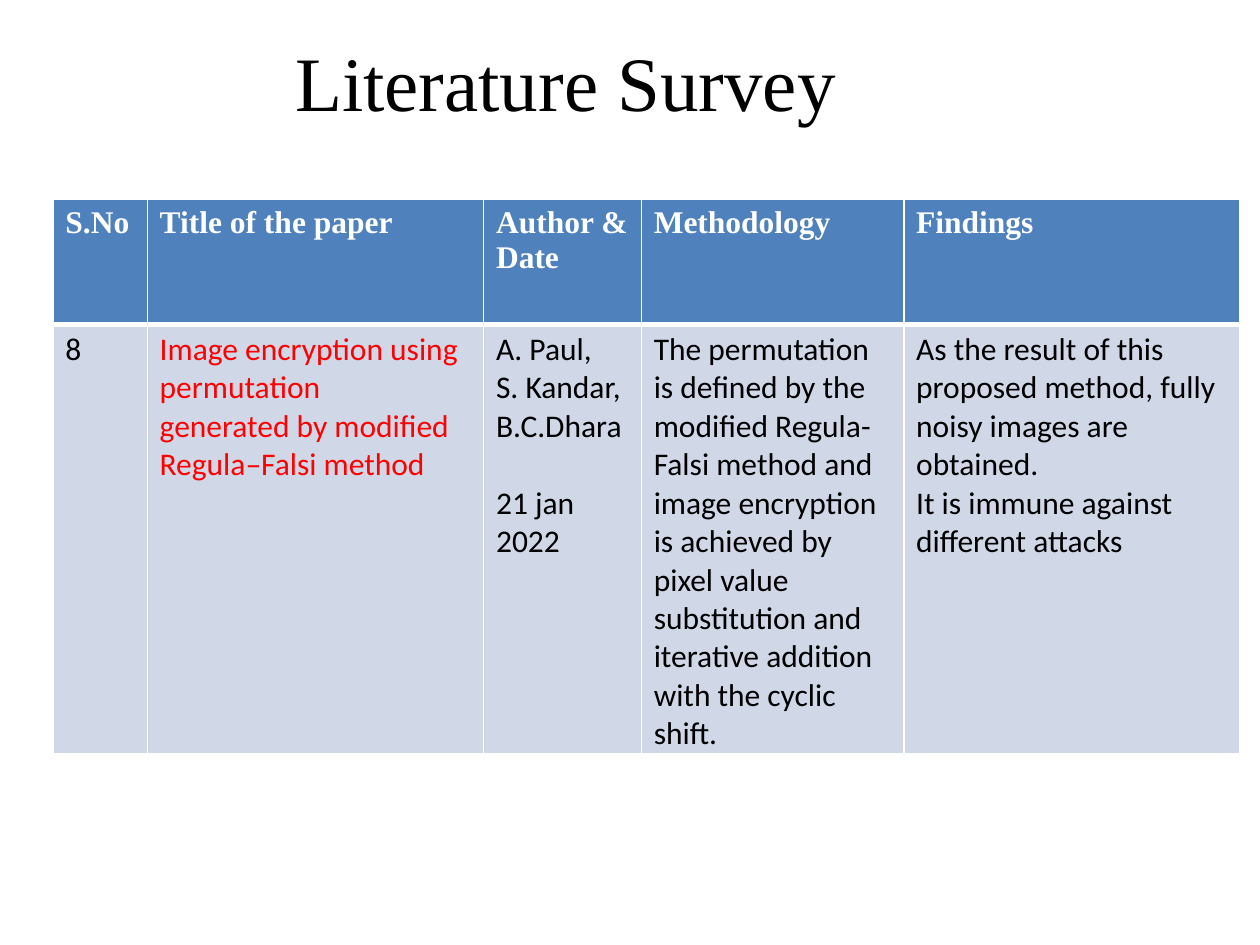
from lxml import etree
from pptx import Presentation
from pptx.dml.color import RGBColor
from pptx.enum.text import MSO_ANCHOR, PP_ALIGN
from pptx.oxml.ns import qn
from pptx.util import Cm, Pt

LEFT = PP_ALIGN.LEFT
TOP = MSO_ANCHOR.TOP
BLANK_LAYOUT = 6

WHITE, BLACK, RED = "FFFFFF", "000000", "FF0000"
HEADER_FILL, BODY_FILL = "4F81BD", "D0D8E8"

TITLE_FONT = {"name": "Times New Roman", "size": Pt(44), "bold": False}
HEADER_FONT = {"name": "Times New Roman", "size": Pt(18), "bold": True}
BODY_FONT = {"name": "Calibri", "size": Pt(18), "bold": False}
CELL_FORMAT = {
    "margin_left": Cm(0.25),
    "margin_right": Cm(0.25),
    "margin_top": Cm(0.12),
    "margin_bottom": Cm(0),
    "vertical_anchor": TOP,
}
TITLE_FORMAT = {
    "margin_left": Cm(0.03),
    "margin_right": Cm(0),
    "margin_top": Cm(0.05),
    "margin_bottom": Cm(0),
    "vertical_anchor": TOP,
    "word_wrap": True,
}

COLUMNS = [
    ("S.No", 1.9, ["8"], BLACK),
    ("Title of the paper", 6.78,
     ["Image encryption using permutation",
      "generated by modified Regula–Falsi method"], RED),
    ("Author & Date", 3.18,
     ["A. Paul,", "S. Kandar, B.C.Dhara", "21 jan 2022"], BLACK),
    ("Methodology", 5.29,
     ["The permutation is defined by the modified Regula-Falsi method and "
      "image encryption is achieved by pixel value substitution and "
      "iterative addition with the cyclic shift."], BLACK),
    ("Findings", 6.78,
     ["As the result of this proposed method, fully noisy images are obtained.",
      "It is immune against different attacks"], BLACK),
]
HEADER_HEIGHT = 2.52
DATE_GAP = Pt(22)


def rgb(value):
    return RGBColor.from_string(value)


def apply_format(target, values):
    for name, value in values.items():
        setattr(target, name, value)


def write_lines(frame, lines, font, color):
    frame.text = "\n".join(lines)
    for paragraph in frame.paragraphs:
        paragraph.alignment = LEFT
        for run in paragraph.runs:
            apply_format(run.font, font)
            run.font.color.rgb = rgb(color)


def draw_borders(cell, widths):
    properties = cell._tc.get_or_add_tcPr()
    for index, (side, width) in enumerate(widths.items()):
        border = etree.Element(qn(f"a:ln{side}"), w=str(Pt(width)))
        fill = etree.SubElement(border, qn("a:solidFill"))
        etree.SubElement(fill, qn("a:srgbClr"), val=WHITE)
        properties.insert(index, border)


def fill_cell(cell, lines, font, color, background, widths):
    apply_format(cell, CELL_FORMAT)
    write_lines(cell.text_frame, lines, font, color)
    cell.fill.solid()
    cell.fill.fore_color.rgb = rgb(background)
    draw_borders(cell, widths)


def add_title(slide, left, top, width, height):
    title = slide.shapes.add_textbox(Cm(left), Cm(top), Cm(width), Cm(height))
    frame = title.text_frame
    apply_format(frame, TITLE_FORMAT)
    write_lines(frame, ["Literature Survey"], TITLE_FONT, BLACK)
    frame.paragraphs[0].space_before = Pt(1.3)


def add_survey(slide, left, top, width, height):
    survey = slide.shapes.add_table(
        2, len(COLUMNS), Cm(left), Cm(top), Cm(width), Cm(height)).table
    survey.rows[0].height = Cm(HEADER_HEIGHT)
    survey.rows[1].height = Cm(height - HEADER_HEIGHT)
    total = sum(share for _, share, _, _ in COLUMNS)
    for index, (heading, share, entry, color) in enumerate(COLUMNS):
        survey.columns[index].width = Cm(width * share / total)
        fill_cell(survey.cell(0, index), [heading], HEADER_FONT, WHITE,
                  HEADER_FILL, {"L": 1, "R": 1, "T": 1, "B": 3})
        fill_cell(survey.cell(1, index), entry, BODY_FONT, color,
                  BODY_FILL, {"L": 1, "R": 1, "T": 3, "B": 1})
    date = survey.cell(1, 2).text_frame.paragraphs[-1]
    date.space_before = DATE_GAP


def main():
    deck = Presentation()
    deck.slide_width, deck.slide_height = Cm(25.4), Cm(19.05)
    slide = deck.slides.add_slide(deck.slide_layouts[BLANK_LAYOUT])
    add_title(slide, 5.92, 0.64, 12.34, 1.93)
    add_survey(slide, 1.07, 4.02, 23.93, 11.18)
    deck.save("out.pptx")


if __name__ == "__main__":
    main()
